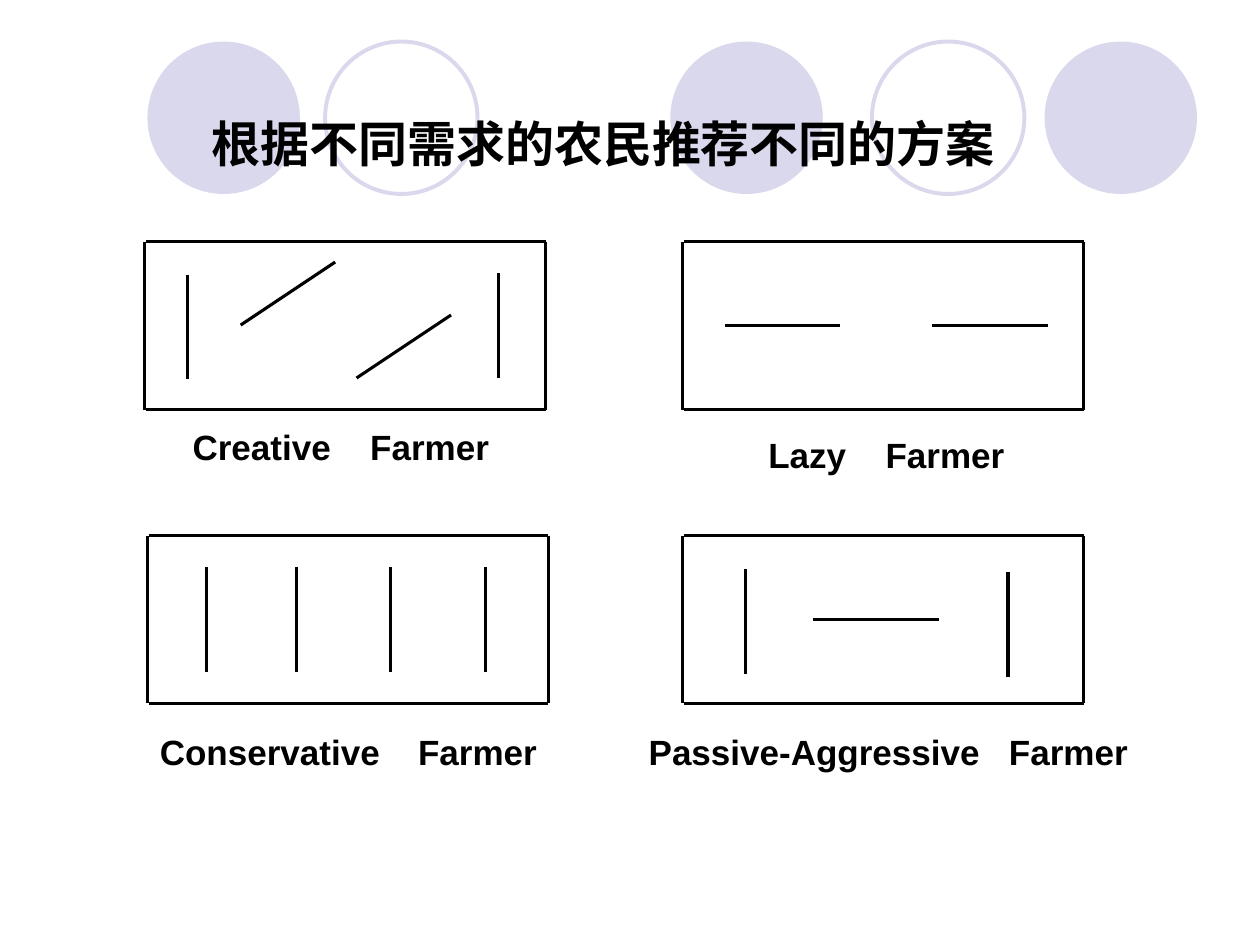
from lxml import etree
from pptx import Presentation
from pptx.dml.color import RGBColor
from pptx.enum.shapes import MSO_CONNECTOR, MSO_SHAPE
from pptx.enum.text import MSO_ANCHOR, MSO_AUTO_SIZE, PP_ALIGN
from pptx.oxml.ns import qn
from pptx.util import Inches, Pt

STRAIGHT = MSO_CONNECTOR.STRAIGHT
OVAL = MSO_SHAPE.OVAL
TOP = MSO_ANCHOR.TOP
LEFT = PP_ALIGN.LEFT
NO_AUTOFIT = MSO_AUTO_SIZE.NONE

FONT = "Arial"
BLACK = "000000"
LAVENDER = "D9D8EC"
TITLE_ONLY = 5

CIRCLE_SIZE = 1.21
CIRCLE_TOP = 0.33
FILLED_CIRCLES = (5.32, 8.29, 1.17)
OUTLINED_CIRCLES = (6.92, 2.58)

FIELD_WIDTH, FIELD_HEIGHT = 3.18, 1.33
UPPER, LOWER = 1.92, 4.25

# Each field: left, top, and its inner lines as (x1, y1, x2, y2)
FIELDS = [
    (1.15, UPPER, [(1.49, 2.18, 1.49, 3.01), (3.96, 2.17, 3.96, 3),
                   (1.91, 2.58, 2.66, 2.08), (2.83, 3, 3.58, 2.5)]),
    (5.42, UPPER, [(x, 2.58, x + 0.92, 2.58) for x in (5.75, 7.4)]),
    (1.17, LOWER, [(x, 4.5, x, 5.33) for x in (1.64, 2.35, 3.1, 3.85)]),
    (5.42, LOWER, [(8, 4.54, 8, 5.37), (5.92, 4.52, 5.92, 5.35),
                   (6.45, 4.92, 7.45, 4.92)]),
]

# Each label: text, left, top, width, tab stop of the second word
LABELS = [
    ("Creative\tFarmer", 1.43, 3.33, 2.83, 1.41),
    ("Lazy\tFarmer", 6, 3.39, 2.5, 0.93),
    ("Conservative\tFarmer", 1.17, 5.75, 3.5, 2.05),
    ("Passive-Aggressive\tFarmer", 5.05, 5.75, 4.17, 2.86),
]


def color(value):
    return RGBColor.from_string(value)


def add_circle(page, left, filled):
    size = Inches(CIRCLE_SIZE)
    circle = page.shapes.add_shape(OVAL, Inches(left), Inches(CIRCLE_TOP), size, size)
    circle.shadow.inherit = False
    if filled:
        circle.fill.solid()
        circle.fill.fore_color.rgb = color(LAVENDER)
        circle.line.fill.background()
    else:
        circle.fill.background()
        circle.line.color.rgb = color(LAVENDER)
        circle.line.width = Pt(2.25)


def add_line(group, x1, y1, x2, y2):
    line = group.shapes.add_connector(
        STRAIGHT, Inches(x1), Inches(y1), Inches(x2), Inches(y2))
    line.line.color.rgb = color(BLACK)
    line.line.width = Pt(1.75)
    etree.SubElement(line.element.spPr, qn("a:effectLst"))


def add_field(page, left, top, inner_lines):
    group = page.shapes.add_group_shape()
    right, bottom = left + FIELD_WIDTH, top + FIELD_HEIGHT
    for y in (top, bottom):
        add_line(group, left + 0.01, y, right, y)
    for x in (left, right):
        add_line(group, x, top, x, bottom)
    for ends in inner_lines:
        add_line(group, *ends)


def write_text(box, text, size):
    frame = box.text_frame
    frame.text = text
    frame.word_wrap = True
    frame.auto_size = NO_AUTOFIT
    frame.vertical_anchor = TOP
    para = frame.paragraphs[0]
    para.alignment = LEFT
    for span in para.runs:
        span.font.name = FONT
        span.font.size = Pt(size)
        span.font.bold = True
        span.font.color.rgb = color(BLACK)
    return para


def add_label(page, text, left, top, width, tab_stop):
    box = page.shapes.add_textbox(
        Inches(left), Inches(top), Inches(width), Inches(0.44))
    para = write_text(box, text, 20)
    tabs = etree.SubElement(para._p.get_or_add_pPr(), qn("a:tabLst"))
    etree.SubElement(tabs, qn("a:tab"), pos=str(Inches(tab_stop)), algn="l")


def place_title(page, text):
    title = page.shapes.title
    title.left, title.top = Inches(1.58), Inches(0.85)
    title.width, title.height = Inches(6.5), Inches(0.57)
    write_text(title, text, 28)
    # Bring the title in front of the circles
    title.element.getparent().append(title.element)


def main():
    deck = Presentation()
    deck.slide_width, deck.slide_height = Inches(10), Inches(7.5)
    page = deck.slides.add_slide(deck.slide_layouts[TITLE_ONLY])

    # Decorative circles
    for left in FILLED_CIRCLES:
        add_circle(page, left, True)
    for left in OUTLINED_CIRCLES:
        add_circle(page, left, False)

    # Field plans with their labels
    for field in FIELDS:
        add_field(page, *field)
    for label in LABELS:
        add_label(page, *label)

    place_title(page, "根据不同需求的农民推荐不同的方案")
    deck.save("out.pptx")


if __name__ == "__main__":
    main()
